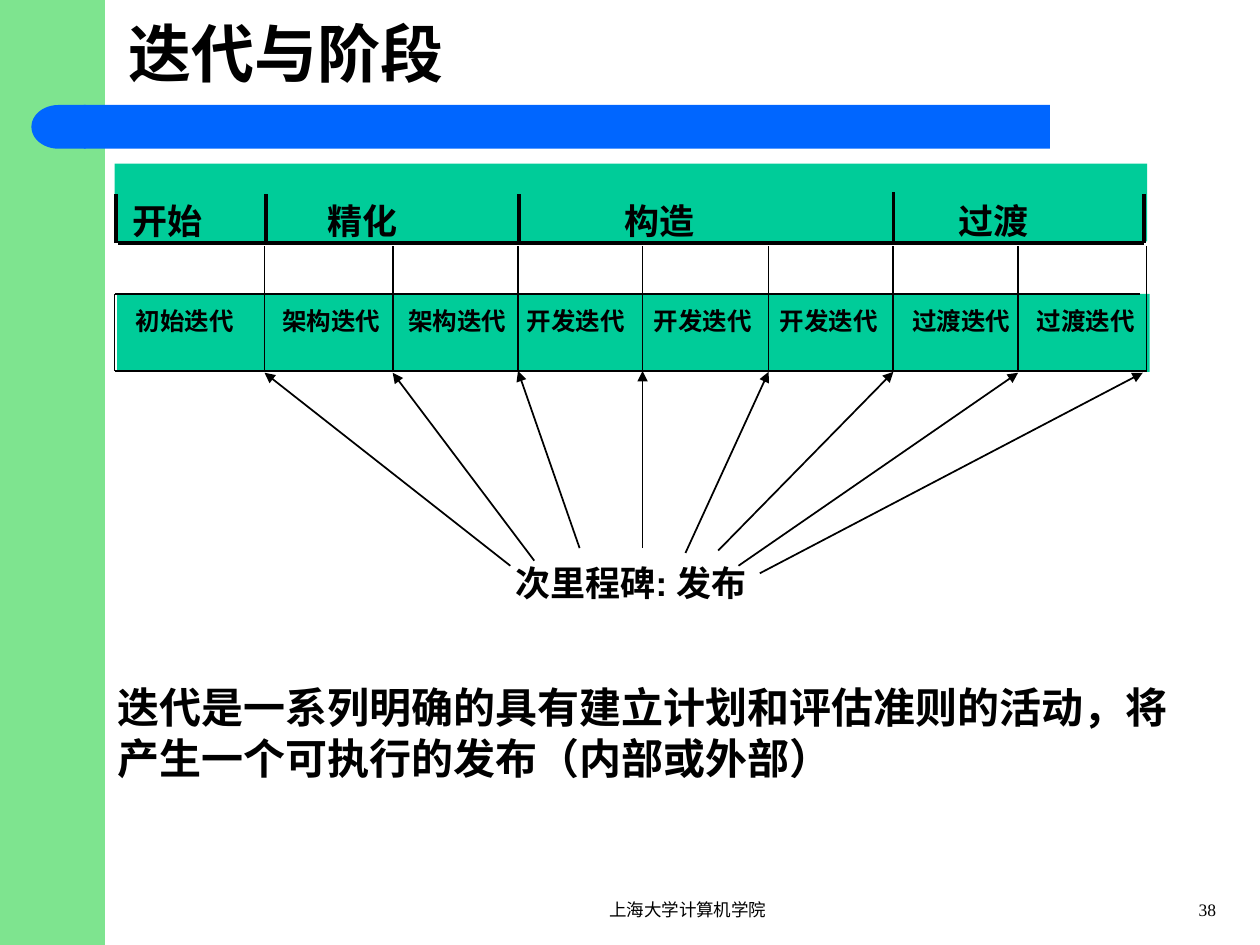
from pptx import Presentation
from pptx.dml.color import RGBColor
from pptx.enum.shapes import MSO_CONNECTOR, MSO_SHAPE
from pptx.enum.text import MSO_ANCHOR, MSO_AUTO_SIZE, PP_ALIGN
from pptx.oxml.ns import qn
from pptx.util import Pt
from lxml.etree import SubElement

BLACK, GREEN = "000000", "00CC99"
LEFT, MID, RIGHT = PP_ALIGN.LEFT, PP_ALIGN.CENTER, PP_ALIGN.RIGHT

deck = Presentation()
deck.slide_width, deck.slide_height = Pt(720), Pt(540)
slide = deck.slides.add_slide(deck.slide_layouts[5])
shapes = slide.shapes


def write(text, box, size, font="Arial", bold=True, align=LEFT, wrap=True,
          side=7.2, anchor=MSO_ANCHOR.TOP, shape=None):
    shape = shape or shapes.add_textbox(0, 0, 0, 0)
    shape.left, shape.top, shape.width, shape.height = map(Pt, box)
    frame = shape.text_frame
    frame.auto_size = MSO_AUTO_SIZE.NONE
    frame.word_wrap = wrap
    frame.vertical_anchor = anchor
    frame.margin_left = frame.margin_right = Pt(side)
    frame.margin_top = frame.margin_bottom = Pt(3.6)
    para = frame.paragraphs[0]
    para.alignment = align
    run = para.add_run()
    run.text = text
    run.font.name, run.font.size, run.font.bold = font, Pt(size), bold
    run.font.color.rgb = RGBColor.from_string(BLACK)


def draw(x1, y1, x2, y2, width=1, arrow=False):
    line = shapes.add_connector(MSO_CONNECTOR.STRAIGHT, Pt(x1), Pt(y1), Pt(x2), Pt(y2))
    line.line.width = Pt(width)
    line.line.color.rgb = RGBColor.from_string(BLACK)
    if arrow:
        SubElement(line.line._get_or_add_ln(), qn("a:tailEnd"), type="triangle")
    SubElement(line._element.spPr, qn("a:effectLst"))


for kind, box, fill in [
    (MSO_SHAPE.RECTANGLE, (0, 0, 60, 540), "7EE48F"),
    (MSO_SHAPE.RECTANGLE, (48, 60, 552, 25), "0066FF"),
    (MSO_SHAPE.FLOWCHART_DELAY, (18, 60, 31, 25), "0066FF"),
    (MSO_SHAPE.RECTANGLE, (67, 168, 590, 44.5), GREEN),
    (MSO_SHAPE.RECTANGLE, (65.5, 93.5, 590, 44.5), GREEN),
]:
    shape = shapes.add_shape(kind, *map(Pt, box))
    shape.shadow.inherit = False
    shape.fill.solid()
    shape.fill.fore_color.rgb = RGBColor.from_string(fill)
    shape.line.fill.background()
    if kind == MSO_SHAPE.FLOWCHART_DELAY:
        shape._element.spPr.xfrm.set("flipH", "1")

write("迭代与阶段", (66, 0, 624, 60), 36, font="Times New Roman",
      anchor=MSO_ANCHOR.MIDDLE, shape=shapes.title)
write("迭代是一系列明确的具有建立计划和评估准则的活动，将产生一个可执行的发布（内部或外部）",
      (60, 386, 636, 65), 24)

for text, x in [("初始迭代", 71.3), ("架构迭代", 154.8), ("架构迭代", 226.8), ("开发迭代", 294.5),
                ("开发迭代", 367.2), ("开发迭代", 439.2), ("过渡迭代", 514.8), ("过渡迭代", 586)]:
    write(text, (x, 171.4, 69, 23), 14, align=MID, wrap=False, side=6.5)

ends = [151.2, 224.4, 296, 367.2, 439.2, 510.5, 581.8, 655.2]
for x in ends:
    draw(x, 212, x, 140.4)
draw(65.5, 212, 655.2, 212)
draw(651.6, 168, 65.5, 168)
draw(65.5, 168, 65.5, 212)

draw(67.5, 139, 653.8, 139, width=2)
for x, top in [(66.3, 111), (152, 111), (296.6, 111), (510.5, 109.5), (653.8, 111)]:
    draw(x, 139, x, top, width=2)
for text, x in [("开始", 68.4), ("精化", 180), ("构造", 350), ("过渡", 540.7)]:
    write(text, (x, 110.2, 54.7, 31), 20, font="Arial Narrow", wrap=False)

write("次里程碑: 发布", (198.7, 317.5, 324, 31.7), 20, align=MID)
starts = [(291.6, 323.3), (305.3, 320.4), (331.2, 313.2), (367.2, 313.2),
          (391.7, 316), (410.4, 314.6), (422, 323.3), (434.2, 327.6)]
tips = [213, 213, 212, 212, 212.5, 212.5, 213, 213]
for (x, y), end, tip in zip(starts, ends[:-1] + [653], tips):
    draw(x, y, end, tip, arrow=True)

write("上海大学计算机学院", (270, 510, 246, 18), 10, font="Times New Roman", bold=False, align=MID)
write("38", (648, 510, 54, 18), 10, font="Times New Roman", bold=False, align=RIGHT)

deck.save("out.pptx")
